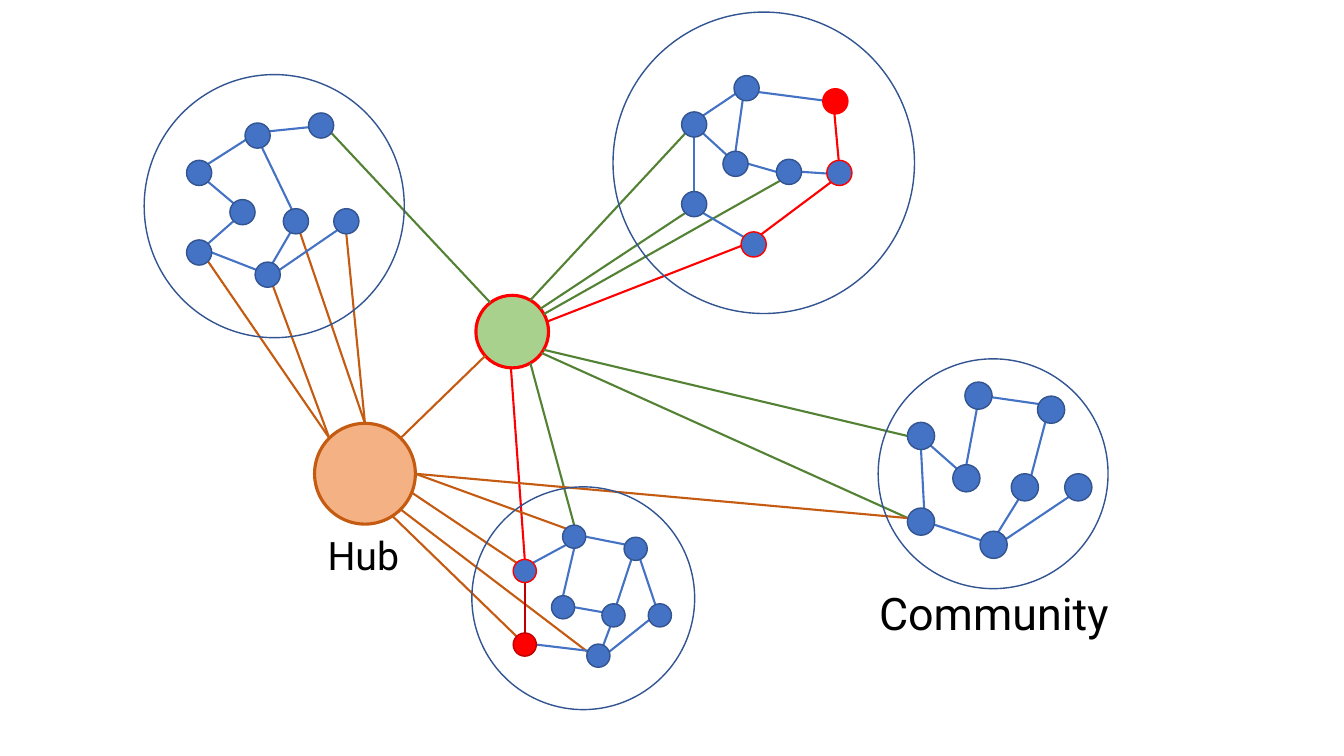
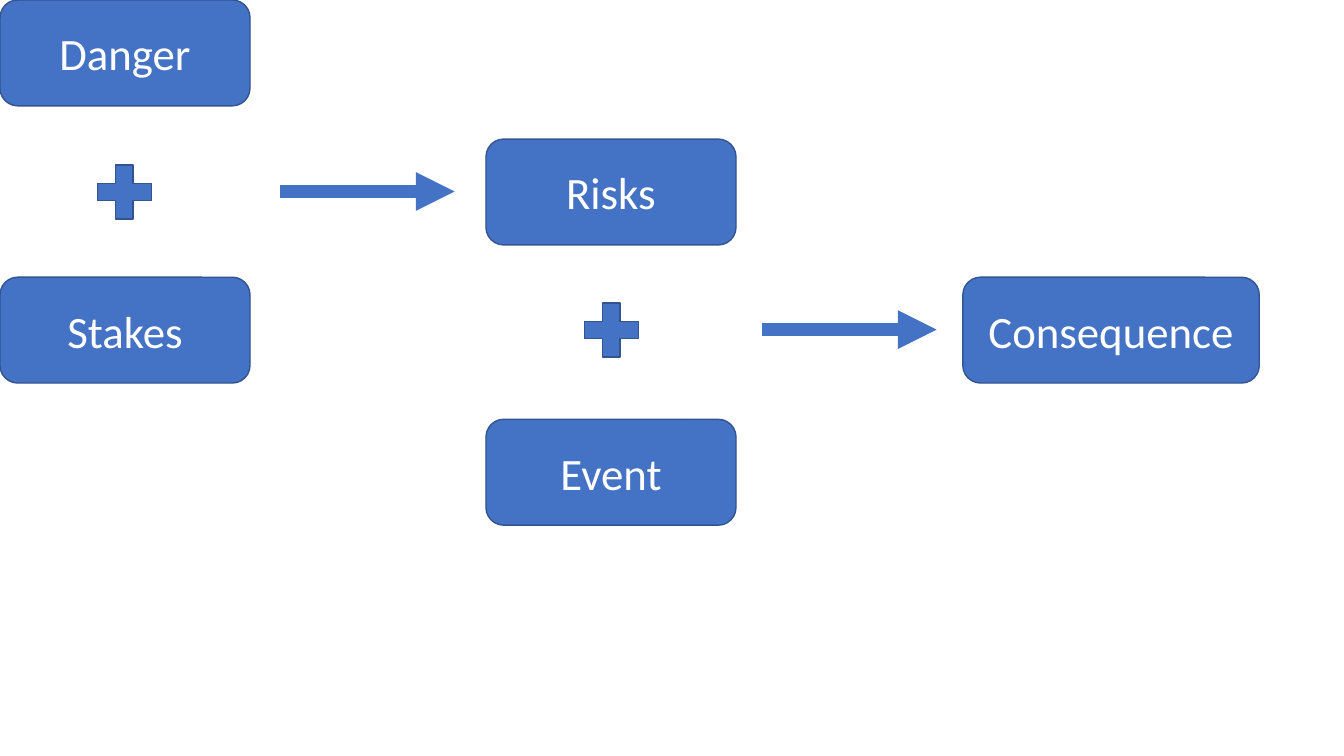
from math import atan2, cos, degrees, radians, sin

from lxml import etree
from pptx import Presentation
from pptx.dml.color import RGBColor
from pptx.enum.shapes import MSO_CONNECTOR, MSO_SHAPE
from pptx.enum.text import MSO_ANCHOR, PP_ALIGN
from pptx.oxml.ns import qn
from pptx.util import Pt

PX = 9144  # 100 px to the inch
LINE = MSO_CONNECTOR.STRAIGHT
OVAL, ROUND, PLUS = MSO_SHAPE.OVAL, MSO_SHAPE.ROUNDED_RECTANGLE, MSO_SHAPE.MATH_PLUS
LEFT, CENTER, MIDDLE = PP_ALIGN.LEFT, PP_ALIGN.CENTER, MSO_ANCHOR.MIDDLE


class Theme:
    blue, navy = "4472C4", "325491"
    red, wine = "FF0000", "C00000"
    green, leaf = "548235", "A9D18E"
    rust, peach = "C55A11", "F4B183"
    white, black = "FFFFFF", "000000"
    sans, body = "Roboto", "Calibri"
    small, large = 28, 32
    thin, edge, bold, arrow = 1, 1.5, 2.25, 9.25


# Nodes are (left, top, turn); edges join two nodes of a group by index.
# "marks" holds fill and outline of special nodes, "tints" special edge colours.
GROUPS = [
    dict(ring=(143, 74, 258, 261), size=25,
         nodes=[(185, 159, 0), (281, 207, -19), (185, 238, 0), (253, 260, 23),
                (331, 207, 0), (228, 198, 0), (306, 112, -8), (243, 122, -20)],
         edges=[(7, 6), (7, 1), (0, 7), (0, 5), (5, 2), (3, 2), (4, 3), (1, 3)],
         marks={}, tints={}),
    dict(ring=(608, 12, 299, 299), size=25,
         nodes=[(676, 111, 0), (770, 158, 0), (676, 190, 0), (735, 230, 37),
                (820, 159, -3), (717, 150, 0), (816, 88, 4), (728, 75, 18)],
         edges=[(0, 7), (6, 7), (4, 6), (4, 1), (4, 3),
                (2, 3), (2, 0), (5, 0), (7, 5), (1, 5)],
         marks={3: (Theme.blue, Theme.red), 4: (Theme.blue, Theme.red),
                6: (Theme.red, Theme.red)},
         tints={(4, 6): Theme.red, (4, 3): Theme.red}),
    dict(ring=(468, 483, 221, 221), size=23,
         nodes=[(509, 555, 0), (597, 599, 16), (509, 628, 0), (582, 639, 250),
                (643, 599, -23), (547, 591, 0), (619, 533, 22), (558, 521, 0)],
         edges=[(0, 7), (5, 7), (6, 7), (4, 6), (1, 6),
                (5, 1), (1, 3), (4, 3), (3, 2), (0, 2)],
         marks={0: (Theme.blue, Theme.red), 2: (Theme.red, Theme.wine)},
         tints={(0, 2): Theme.wine}),
    dict(ring=(871, 356, 228, 228), size=27,
         nodes=[(900, 419, 0), (1003, 470, -17), (900, 504, 13), (972, 527, 155),
                (1056, 470, 0), (945, 461, 0), (1029, 393, -20), (957, 379, 7)],
         edges=[(2, 3), (2, 0), (5, 0), (4, 3), (1, 3), (6, 1), (7, 6), (5, 7)],
         marks={}, tints={}),
]

# Links are (angle at the hub, group, node, angle at the node, colour).
HUBS = [
    dict(box=(472, 293, 72), fill=Theme.leaf, line=Theme.red, links=[
        (233, 0, 6, 36, Theme.green), (321, 1, 2, 135, Theme.green),
        (344, 1, 3, 173, Theme.red), (331, 1, 1, 135, Theme.green),
        (300, 1, 0, 135, Theme.green), (92, 2, 0, 270, Theme.red),
        (60, 2, 7, 270, Theme.green), (30, 3, 0, 180, Theme.green),
        (36, 3, 2, 195, Theme.green)]),
    dict(box=(312, 420, 100), fill=Theme.peach, line=Theme.rust, links=[
        (225, 0, 3, 65, Theme.rust), (225, 0, 2, 45, Theme.rust),
        (270, 0, 1, 70, Theme.rust), (270, 0, 4, 90, Theme.rust),
        (0, 2, 7, 225, Theme.rust), (22, 2, 0, 225, Theme.rust),
        (57, 2, 2, 225, Theme.rust), (45, 2, 3, 200, Theme.rust),
        (0, 3, 2, 195, Theme.rust)]),
]
BRIDGE = (315, 138)  # angles at the large and the small hub

LABELS = [("Hub", (315, 522, 118, 57), Theme.small),
          ("Community", (862, 576, 289, 64), Theme.large)]

BOXES = [("Danger", 0, 0, 248), ("Stakes", 0, 275, 248), ("Risks", 482, 138, 248),
         ("Event", 482, 416, 248), ("Consequence", 955, 275, 294)]
TALL = 105
SIGNS = [(87, 154), (570, 291)]
SIGN = 73
ARROWS = [(278, 190), (756, 327)]
REACH = 173


def emu(*vals):
    return [round(v * PX) for v in vals]


def rgb(code):
    return RGBColor.from_string(code)


def shape(slide, kind, box, fill, line, width=Theme.thin):
    item = slide.shapes.add_shape(kind, *emu(*box))
    item.shadow.inherit = False
    if fill:
        item.fill.solid()
        item.fill.fore_color.rgb = rgb(fill)
    else:
        item.fill.background()
    item.line.color.rgb = rgb(line)
    item.line.width = Pt(width)
    return item


def link(slide, start, end, color, width=Theme.edge):
    item = slide.shapes.add_connector(LINE, *emu(*start, *end))
    item.line.color.rgb = rgb(color)
    item.line.width = Pt(width)
    etree.SubElement(item._element.spPr, qn("a:effectLst"))
    return item


def write(item, text, font, size, color, align):
    par = item.text_frame.paragraphs[0]
    par.text, par.alignment = text, align
    par.font.name, par.font.size = font, Pt(size)
    par.font.color.rgb = rgb(color)


def port(left, top, size, angle):
    """Point on a circle's rim, clockwise from the right."""
    half, turn = size / 2, radians(angle)
    return left + half + half * cos(turn), top + half + half * sin(turn)


def site(node, other, size):
    """The one of a turned circle's eight rim points that faces another node."""
    left, top, turn = node
    aim = degrees(atan2(other[1] - top, other[0] - left))
    return port(left, top, size, turn + 45 * round((aim - turn) / 45))


def draw_group(slide, group):
    nodes, size = group["nodes"], group["size"]
    shape(slide, OVAL, group["ring"], None, Theme.navy)
    for pair in group["edges"]:
        a, b = (nodes[i] for i in pair)
        link(slide, site(a, b, size), site(b, a, size),
             group["tints"].get(pair, Theme.blue))
    for i, (left, top, _) in enumerate(nodes):
        fill, line = group["marks"].get(i, (Theme.blue, Theme.navy))
        shape(slide, OVAL, (left, top, size, size), fill, line)


def draw_hub(slide, hub):
    left, top, size = hub["box"]
    shape(slide, OVAL, (left, top, size, size), hub["fill"], hub["line"], Theme.bold)
    for out, g, n, into, color in hub["links"]:
        group = GROUPS[g]
        x, y, _ = group["nodes"][n]
        link(slide, port(left, top, size, out), port(x, y, group["size"], into), color)


def network(slide):
    for hub in HUBS:
        draw_hub(slide, hub)
    small, large = (hub["box"] for hub in HUBS)
    link(slide, port(*large, BRIDGE[0]), port(*small, BRIDGE[1]), Theme.rust)
    for group in GROUPS:
        draw_group(slide, group)
    for text, box, size in LABELS:
        item = slide.shapes.add_textbox(*emu(*box))
        item.text_frame.word_wrap = True
        write(item, text, Theme.sans, size, Theme.black, LEFT)


def risk(slide):
    for text, left, top, wide in BOXES:
        item = shape(slide, ROUND, (left, top, wide, TALL), Theme.blue, Theme.navy)
        item.text_frame.vertical_anchor = MIDDLE
        write(item, text, Theme.body, Theme.large, Theme.white, CENTER)
    for left, top in SIGNS:
        shape(slide, PLUS, (left, top, SIGN, SIGN), Theme.blue, Theme.navy)
    for x, y in ARROWS:
        item = link(slide, (x, y), (x + REACH, y), Theme.blue, Theme.arrow)
        etree.SubElement(item.line._get_or_add_ln(), qn("a:tailEnd"), type="triangle")


def main():
    deck = Presentation()
    deck.slide_width, deck.slide_height = emu(1333, 750)
    blank = deck.slide_layouts[6]
    for draw in (network, risk):
        draw(deck.slides.add_slide(blank))
    deck.save("out.pptx")


if __name__ == "__main__":
    main()
